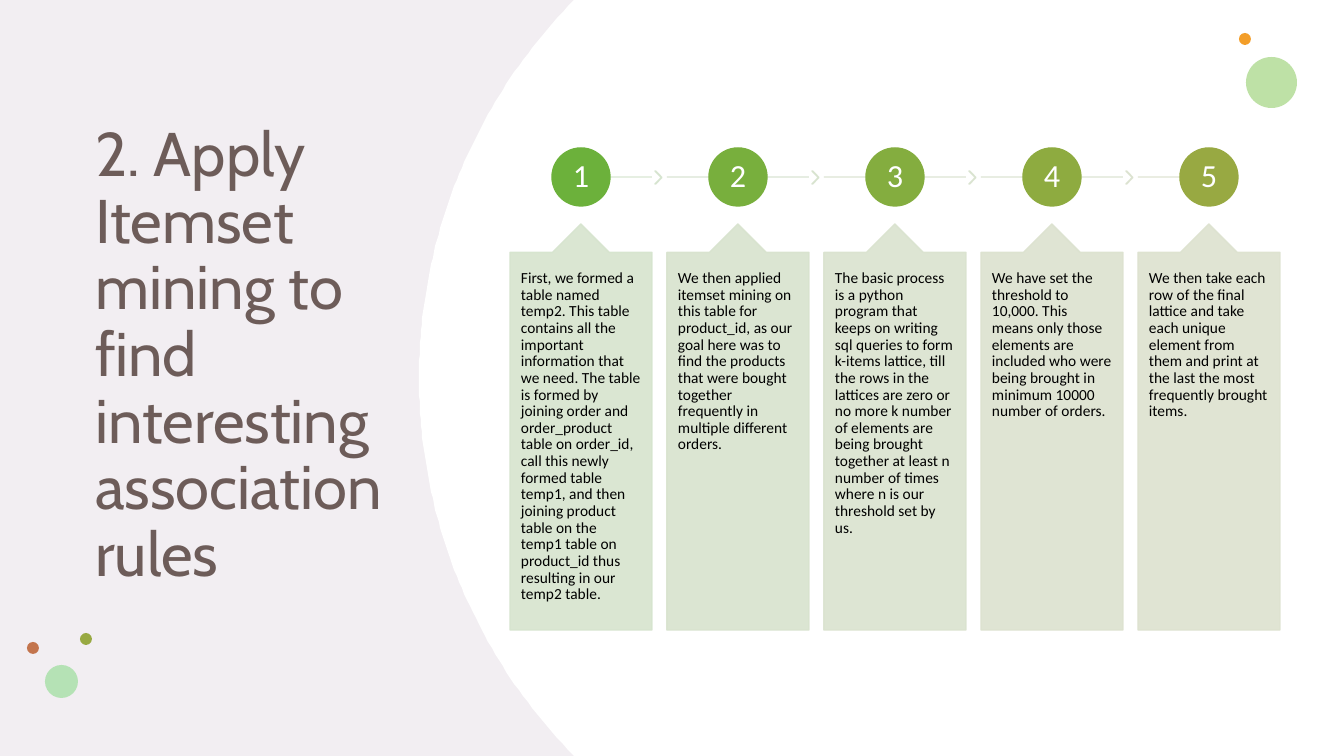
from math import sqrt

from lxml.etree import SubElement
from pptx import Presentation
from pptx.dml.color import RGBColor
from pptx.enum.shapes import MSO_CONNECTOR as Connector, MSO_SHAPE as Preset
from pptx.enum.text import MSO_ANCHOR as Anchor, MSO_AUTO_SIZE as AutoSize, PP_ALIGN as Align
from pptx.oxml.ns import qn
from pptx.util import Pt

PX = 914400 / 100.8
WIDTH, HEIGHT = 1344, 756


def px(*lengths):
    return [round(length * PX) for length in lengths]


def paint(part, colour, alpha=100):
    part.solid()
    part.fore_color.rgb = RGBColor.from_string(colour)
    if alpha < 100:
        tint = part._xPr.find(qn("a:solidFill")).find(qn("a:srgbClr"))
        SubElement(tint, qn("a:alpha"), val=str(alpha * 1000))


deck = Presentation()
deck.slide_width, deck.slide_height = px(WIDTH, HEIGHT)
slide = deck.slides.add_slide(deck.slide_layouts[5])
shapes = slide.shapes
paint(slide.background.fill, "FFFFFF")

backdrop = shapes.add_shape(Preset.RECTANGLE, *px(0, 0, WIDTH, HEIGHT))
paint(backdrop.fill, "D4C8D4", 30)

arc_radius, arc_x, arc_y = 538, 957, 378
arc = [(round(arc_x - sqrt(arc_radius ** 2 - (y - arc_y) ** 2), 2), y)
       for y in range(HEIGHT, -1, -6)]
outline = shapes.build_freeform(WIDTH, 0, scale=PX)
outline.add_line_segments([(WIDTH, HEIGHT)] + arc, close=True)
panel = outline.convert_to_shape()
paint(panel.fill, "FFFFFF")

plain = [backdrop, panel]
for x, y, size, colour, alpha in [
    (1246, 57, 51, "A6D684", 72),
    (1239, 33, 12, "F39E29", 100),
    (80, 633, 12, "98A942", 100),
    (45, 665, 33, "B5E2B5", 100),
    (27, 642, 12, "C3744D", 100),
]:
    dot = shapes.add_shape(Preset.OVAL, *px(x, y, size, size))
    paint(dot.fill, colour, alpha)
    plain.append(dot)
for shape in plain:
    shape.line.fill.background()
    shape.shadow.inherit = False

title = shapes.title
title.left, title.top, title.width, title.height = px(85, 105, 315, 569)
heading = title.text_frame
heading.text = "2. Apply Itemset mining to find interesting association rules"
heading.word_wrap = True
heading.auto_size = AutoSize.NONE
heading.vertical_anchor = Anchor.MIDDLE
heading.margin_bottom = px(71)[0]
wording = heading.paragraphs[0]
wording.alignment = Align.LEFT
wording.line_spacing = 0.9
wording.font.name = "Cabin"
wording.font.size = Pt(44)
wording.font.color.rgb = RGBColor.from_string("412E24")

steps = [
    ("6CB13B", "D4E4CE", "D5E4CE", "D6E4CE",
     "First, we formed a table named temp2. This table contains all the important "
     "information that we need. The table is formed by joining order and order_product "
     "table on order_id, call this newly formed table temp1, and then joining product "
     "table on the temp1 table on product_id thus resulting in our temp2 table."),
    ("78AF3D", "D6E3CE", "D7E3CE", "D8E3CE",
     "We then applied itemset mining on this table for product_id, as our goal here was "
     "to find the products that were bought together frequently in multiple different "
     "orders."),
    ("84AD3F", "D8E3CF", "D9E3CF", "DAE3CF",
     "The basic process is a python program that keeps on writing sql queries to form "
     "k-items lattice, till the rows in the lattices are zero or no more k number of "
     "elements are being brought together at least n number of times where n is our "
     "threshold set by us."),
    ("8EAB40", "DAE3CF", "DBE2CF", "DCE2CF",
     "We have set the threshold to 10,000. This means only those elements are included "
     "who were being brought in minimum 10000 number of orders."),
    ("98A942", "DCE2CF", None, "DDE2CF",
     "We then take each row of the final lattice and take each unique element from them "
     "and print at the last the most frequently brought items."),
]
column_left, column_width, pitch = 510, 142, 157
circle_size, rail_y = 58, 177

for index, (circle_colour, rail_colour, chevron_colour, callout_colour, story) in enumerate(steps):
    left = column_left + index * pitch
    right = left + column_width
    middle = left + column_width // 2
    start = middle if index == 0 else left
    end = middle if index == len(steps) - 1 else right

    rail = shapes.add_connector(Connector.STRAIGHT, *px(start, rail_y, end, rail_y))
    paint(rail.line.fill, rail_colour, 90)
    rail.line.width = Pt(1)
    SubElement(rail.element.spPr, qn("a:effectLst"))

    circle_box = (middle - circle_size // 2, rail_y - circle_size // 2, circle_size, circle_size)
    pieces = [
        (Preset.OVAL, circle_box, [], circle_colour, 100,
         str(index + 1), 23, "FFFFFF", Align.CENTER, Anchor.MIDDLE, (2, 2)),
        (Preset.UP_ARROW_CALLOUT, (left, 224, column_width, 406), [0.5, 0.2, 0.2, 1],
         callout_colour, 90, story, 11, "000000", Align.LEFT, Anchor.TOP, (11, 18)),
    ]
    if chevron_colour:
        pieces.insert(0, (Preset.CHEVRON, (right + 3, rail_y - 6, 7, 13), [0.9],
                          chevron_colour, 90, "", 11, "000000",
                          Align.LEFT, Anchor.TOP, (0, 0)))

    for preset, box, bends, colour, alpha, text, size, ink, align, anchor, insets in pieces:
        piece = shapes.add_shape(preset, *px(*box))
        for position, bend in enumerate(bends):
            piece.adjustments[position] = bend
        paint(piece.fill, colour, alpha)
        paint(piece.line.fill, colour, alpha)
        piece.line.width = Pt(1)
        piece.shadow.inherit = False
        if text:
            frame = piece.text_frame
            frame.text = text
            frame.word_wrap = True
            frame.vertical_anchor = anchor
            frame.margin_left = frame.margin_right = px(insets[0])[0]
            frame.margin_top = frame.margin_bottom = px(insets[1])[0]
            line = frame.paragraphs[0]
            line.alignment = align
            line.line_spacing = 0.9
            line.font.name = "Calibri"
            line.font.size = Pt(size)
            line.font.color.rgb = RGBColor.from_string(ink)

deck.save("out.pptx")
